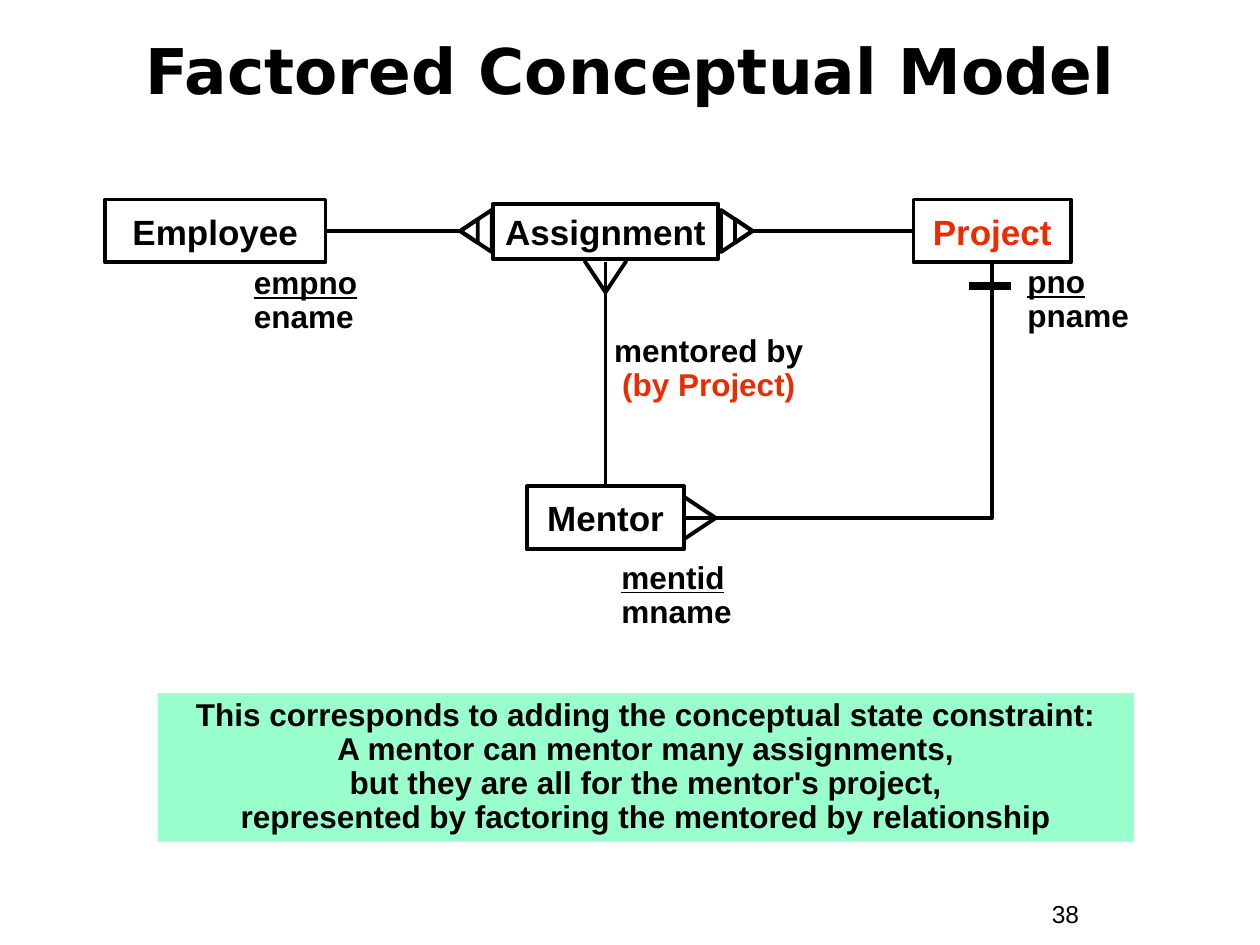
from dataclasses import dataclass

from lxml.etree import SubElement
from pptx import Presentation
from pptx.dml.color import RGBColor as Color
from pptx.enum.shapes import MSO_CONNECTOR as Link, MSO_SHAPE as Shape
from pptx.enum.text import MSO_ANCHOR as Anchor, PP_ALIGN as Align
from pptx.oxml.ns import qn
from pptx.util import Pt


@dataclass(frozen=True)
class Theme:
    ink: Color = Color(0x00, 0x00, 0x00)
    accent: Color = Color(0xEA, 0x2D, 0x00)
    note: Color = Color(0x99, 0xFF, 0xCC)
    title_font: str = "DejaVu Sans"
    body_font: str = "Arial"
    title_size: int = 36
    entity_size: int = 20
    label_size: int = 18
    number_size: int = 14
    line: float = 2.25
    bar: float = 4.5


THEME = Theme()


def style(para, size, align=Align.LEFT, spacing=None, color=THEME.ink,
          font=THEME.body_font, bold=True):
    para.alignment = align
    if spacing:
        para.line_spacing = spacing
    para.font.name = font
    para.font.size = Pt(size)
    para.font.bold = bold
    para.font.color.rgb = color


def text_box(page, box):
    frame = page.shapes.add_textbox(*map(Pt, box)).text_frame
    frame.word_wrap = True
    return frame


def outline(page, kind, box):
    shape = page.shapes.add_shape(kind, *map(Pt, box))
    shape.shadow.inherit = False
    shape.fill.background()
    shape.line.color.rgb = THEME.ink
    shape.line.width = Pt(THEME.line)
    return shape


def connect(page, start, end, kind=Link.STRAIGHT, width=THEME.line):
    line = page.shapes.add_connector(kind, *map(Pt, (*start, *end)))
    line.line.color.rgb = THEME.ink
    line.line.width = Pt(width)
    SubElement(line._element.spPr, qn("a:effectLst"))
    return line


def corner(page, start, end):
    """One bend: across from start, then up or down to end."""
    line = connect(page, start, end, Link.ELBOW)
    line._element.spPr.find(qn("a:prstGeom")).set("prst", "bentConnector2")


def title(page, box, text):
    frame = text_box(page, box)
    frame.vertical_anchor = Anchor.MIDDLE
    frame.text = text
    style(frame.paragraphs[0], THEME.title_size, Align.CENTER, 0.85,
          font=THEME.title_font)


def entity(page, box, name, color=THEME.ink):
    frame = outline(page, Shape.RECTANGLE, box).text_frame
    frame.word_wrap = False
    frame.vertical_anchor = Anchor.MIDDLE
    frame.text = name
    style(frame.paragraphs[0], THEME.entity_size, Align.CENTER, color=color)


def attributes(page, box, key, other):
    frame = text_box(page, box)
    frame.text = f"{key}\n{other}"
    for para in frame.paragraphs:
        style(para, THEME.label_size, spacing=0.9)
    frame.paragraphs[0].font.underline = True
    frame.paragraphs[0].runs[0].font.underline = True


def relationship_label(page, box, name, factor):
    para = text_box(page, box).paragraphs[0]
    style(para, THEME.label_size, Align.CENTER, 0.9)
    para.add_run().text = name
    para.add_line_break()
    span = para.add_run()
    span.text = factor
    span.font.color.rgb = THEME.accent


def crow_foot(page, tip, toes):
    for toe in toes:
        connect(page, tip, toe)


def double_fork(page, tip, side):
    """Nested triangles pointing left (side -1) or right (side 1)."""
    x, y = tip
    for base, height in ((24, 18), (13.5, 10)):
        middle = x - side * height / 2
        shape = outline(page, Shape.ISOSCELES_TRIANGLE,
                        (middle - base / 2, y - height / 2, base, height))
        shape.rotation = 90 * side


def model(page, box):
    left, top, width, height = box

    def at(x, y, *size):
        return (left + x, top + y, *size)

    # Relationship lines
    axis, stem, mentor_y = 18, 286, 182
    connect(page, at(127, axis), at(203, axis))
    connect(page, at(461, axis), at(370, axis))
    connect(page, at(stem, 36), at(stem, 163))
    corner(page, at(332, mentor_y), at(507, 37))

    # Line ends
    double_fork(page, at(203, axis), -1)
    double_fork(page, at(370, axis), 1)
    crow_foot(page, at(stem, 53), [at(stem + d, 35) for d in (-12, 12)])
    crow_foot(page, at(349, mentor_y),
              [at(331, mentor_y + d) for d in (-12, 12)])
    connect(page, at(518, 49.5), at(494, 49.5), width=THEME.bar)

    # Entities
    entity(page, at(0, 0, 126, 36), "Employee")
    entity(page, at(221.5, 2.5, 129, 31.5), "Assignment")
    entity(page, at(462, 0, 90, 36), "Project", THEME.accent)
    entity(page, at(241, 164, 90, 36), "Mentor")

    # Attributes and relationship name
    attributes(page, at(78, 35, 84, 46), "empno", "ename")
    attributes(page, at(520, 34.5, 84, 46), "pno", "pname")
    attributes(page, at(288, 203.5, 84, 46), "mentid", "mname")
    relationship_label(page, at(282, 74, 126, 46),
                       "mentored by", "(by Project)")


def note(page, box, lines):
    shape = page.shapes.add_shape(Shape.RECTANGLE, *map(Pt, box))
    shape.shadow.inherit = False
    shape.fill.solid()
    shape.fill.fore_color.rgb = THEME.note
    shape.line.fill.background()
    frame = shape.text_frame
    frame.vertical_anchor = Anchor.TOP
    frame.text = "\v".join(lines)
    style(frame.paragraphs[0], THEME.label_size, Align.CENTER, 0.9)


def page_number(page, box, number):
    frame = text_box(page, box)
    frame.text = str(number)
    style(frame.paragraphs[0], THEME.number_size, bold=False)


def main():
    deck = Presentation()
    deck.slide_width, deck.slide_height = Pt(720), Pt(540)
    page = deck.slides.add_slide(deck.slide_layouts[6])

    title(page, (24, 10, 672, 66), "Factored Conceptual Model")
    model(page, (60, 114, 604, 250))
    note(page, (90, 396, 558, 85), (
        "This corresponds to adding the conceptual state constraint:",
        "A mentor can mentor many assignments,",
        "but they are all for the mentor's project,",
        "represented by factoring the mentored by relationship",
    ))
    page_number(page, (594, 510, 66, 24), 38)
    deck.save("out.pptx")


if __name__ == "__main__":
    main()
